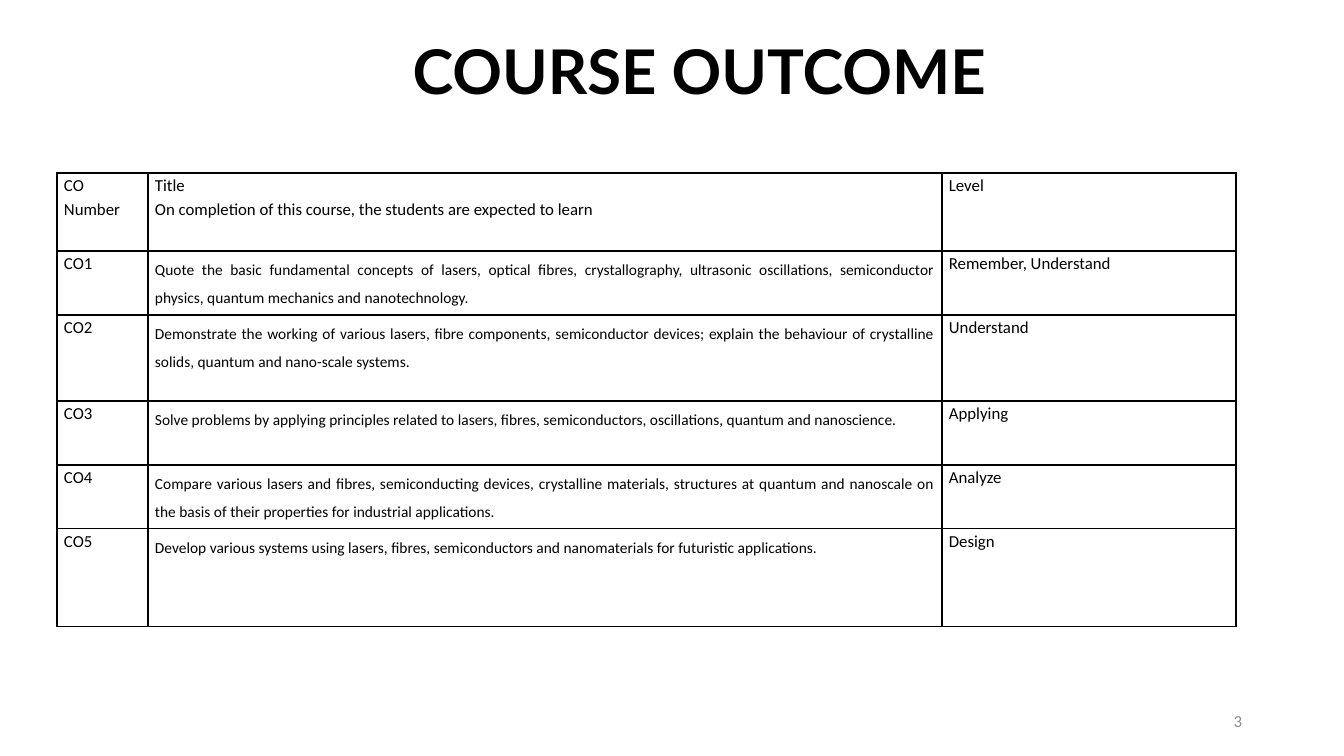
import pptx
import pptx.util
import pptx.dml.color
import pptx.enum.text
import pptx.oxml
import pptx.oxml.ns

SCALE = 12192000 / 1344
ALIGN = pptx.enum.text.PP_ALIGN
ANCHOR = pptx.enum.text.MSO_ANCHOR
COLUMNS = [91, 794, 294]
ROWS = [78, 64, 86, 64, 64, 98]
HEADER = [
    ["CO Number"],
    ["Title", "On completion of this course, the students are expected to learn"],
    ["Level"],
]
OUTCOMES = [
    ("Quote the basic fundamental concepts of lasers, optical fibres, crystallography, "
     "ultrasonic oscillations, semiconductor physics, quantum mechanics and nanotechnology.",
     "Remember, Understand"),
    ("Demonstrate the working of various lasers, fibre components, semiconductor devices; "
     "explain the behaviour of crystalline solids, quantum and nano-scale systems.",
     "Understand"),
    ("Solve problems by applying principles related to lasers, fibres, semiconductors, "
     "oscillations, quantum and nanoscience.",
     "Applying"),
    ("Compare various lasers and fibres, semiconducting devices, crystalline materials, "
     "structures at quantum and nanoscale on the basis of their properties for industrial "
     "applications.",
     "Analyze"),
    ("Develop various systems using lasers, fibres, semiconductors and nanomaterials for "
     "futuristic applications.",
     "Design"),
]


def px(length):
    return pptx.util.Emu(round(length * SCALE))


def color(value):
    return pptx.dml.color.RGBColor.from_string(value)


def add_text(para, text, size, font="Calibri", fill="000000", bold=False):
    span = para.add_run()
    span.text = text
    span.font.size = pptx.util.Pt(size)
    span.font.name = font
    span.font.bold = bold
    span.font.color.rgb = color(fill)


def set_title(page, text):
    title = page.shapes.title
    title.left, title.top, title.width, title.height = map(px, (231, 28, 937, 126))
    frame = title.text_frame
    frame.word_wrap = True
    frame.auto_size = pptx.enum.text.MSO_AUTO_SIZE.NONE
    frame.vertical_anchor = ANCHOR.TOP
    para = frame.paragraphs[0]
    para.alignment = ALIGN.CENTER
    add_text(para, text, 44, "Lato", bold=True)


def add_page_number(page, number):
    box = page.shapes.add_textbox(*map(px, (950, 701, 302, 40)))
    frame = box.text_frame
    frame.word_wrap = True
    frame.vertical_anchor = ANCHOR.MIDDLE
    para = frame.paragraphs[0]
    para.alignment = ALIGN.RIGHT
    add_text(para, number, 12, fill="8C8C8C")


def add_borders(cell):
    properties = cell._tc.get_or_add_tcPr()
    for side in ("lnL", "lnR", "lnT", "lnB"):
        properties.append(pptx.oxml.parse_xml(
            f'<a:{side} {pptx.oxml.ns.nsdecls("a")} w="12700"><a:solidFill>'
            f'<a:srgbClr val="000000"/></a:solidFill></a:{side}>'))


def fill_cell(cell, lines, size=12, spacing=1.15, align=ALIGN.LEFT):
    add_borders(cell)
    cell.fill.background()
    cell.margin_left = cell.margin_right = px(7)
    cell.margin_top = cell.margin_bottom = 0
    frame = cell.text_frame
    for index, line in enumerate(lines):
        para = frame.add_paragraph() if index else frame.paragraphs[0]
        para.alignment = align
        para.line_spacing = spacing
        add_text(para, line, size)


def add_outcome_table(page):
    area = map(px, (57, 173, sum(COLUMNS), sum(ROWS)))
    table = page.shapes.add_table(len(ROWS), len(COLUMNS), *area).table
    table.first_row = table.horz_banding = False
    for column, width in zip(table.columns, COLUMNS):
        column.width = px(width)
    for row, height in zip(table.rows, ROWS):
        row.height = px(height)
    for column, lines in enumerate(HEADER):
        fill_cell(table.cell(0, column), lines)
    for number, (outcome, level) in enumerate(OUTCOMES, 1):
        fill_cell(table.cell(number, 0), [f"CO{number}"])
        fill_cell(table.cell(number, 1), [outcome], 11, 1.5, ALIGN.JUSTIFY)
        fill_cell(table.cell(number, 2), [level])


def main():
    deck = pptx.Presentation()
    deck.slide_width, deck.slide_height = px(1344), px(756)
    page = deck.slides.add_slide(deck.slide_layouts[5])
    add_page_number(page, "3")
    set_title(page, "COURSE OUTCOME")
    add_outcome_table(page)
    deck.save("out.pptx")


if __name__ == "__main__":
    main()
